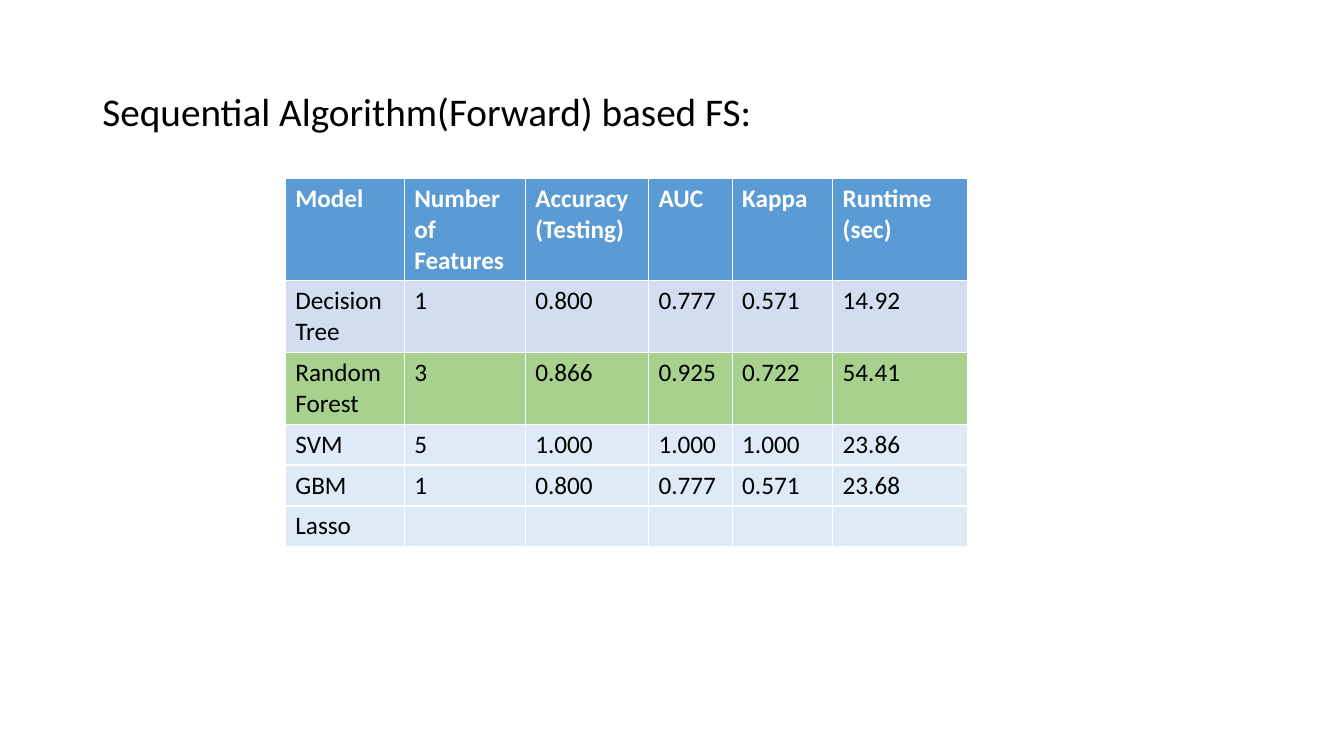
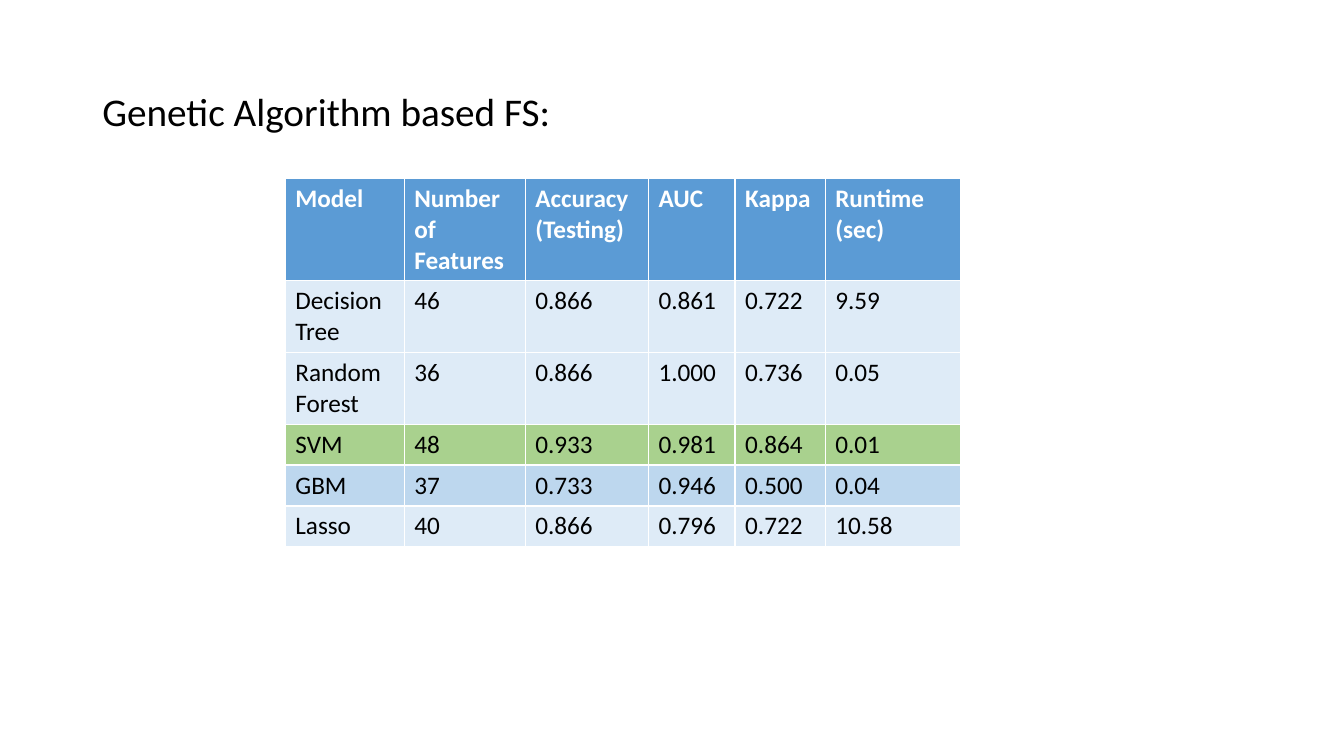
from pptx import Presentation
from pptx.dml.color import RGBColor
from pptx.enum.text import MSO_ANCHOR, PP_ALIGN
from pptx.util import Pt

COLORS = {
    "header": "5B9BD5",
    "band": "D2DEEF",
    "best": "A9D18E",
    "pale": "DEEBF7",
    "medium": "BDD7EE",
    "white": "FFFFFF",
    "black": "000000",
}
FONT = "Calibri"
TITLE_BOX = (66, 28.8, 828, 104.4)
TABLE_LEFT, TABLE_TOP = 203.8, 127.5
ROW_HEIGHTS = (72, 50.4, 50.4, 29.2, 29.2, 29.2)
HEADINGS = ("Model", "Number of Features", "Accuracy (Testing)",
            "AUC", "Kappa", "Runtime (sec)")

# Each result row ends its numbers with the name of its fill colour.
RESULTS = (
    ("Sequential Algorithm(Forward) based FS:",
     (85, 86.4, 88, 59.8, 71.8, 96.5),
     (("Decision Tree", "1", "0.800", "0.777", "0.571", "14.92", "band"),
      ("Random Forest", "3", "0.866", "0.925", "0.722", "54.41", "best"),
      ("SVM", "5", "1.000", "1.000", "1.000", "23.86", "pale"),
      ("GBM", "1", "0.800", "0.777", "0.571", "23.68", "pale"),
      ("Lasso", "", "", "", "", "", "pale"))),
    ("Genetic Algorithm based FS:",
     (85, 86.4, 88, 61.9, 64.4, 96.5),
     (("Decision Tree", "46", "0.866", "0.861", "0.722", "9.59", "pale"),
      ("Random Forest", "36", "0.866", "1.000", "0.736", "0.05", "pale"),
      ("SVM", "48", "0.933", "0.981", "0.864", "0.01", "best"),
      ("GBM", "37", "0.733", "0.946", "0.500", "0.04", "medium"),
      ("Lasso", "40", "0.866", "0.796", "0.722", "10.58", "pale"))),
)


def rgb(name):
    return RGBColor.from_string(COLORS[name])


def style_font(font, size, color, bold=False):
    font.name = FONT
    font.size = Pt(size)
    font.bold = bold
    font.color.rgb = rgb(color)


def place_layout_title(layout):
    """Set the title position that every slide inherits."""
    title = layout.placeholders[0]
    title.left, title.top, title.width, title.height = map(Pt, TITLE_BOX)


def add_title(page, text):
    frame = page.shapes.title.text_frame
    frame.text = text
    frame.vertical_anchor = MSO_ANCHOR.MIDDLE
    para = frame.paragraphs[0]
    para.alignment = PP_ALIGN.LEFT
    para.line_spacing = 0.9
    style_font(para.runs[0].font, 28, "black")


def fill_row(row, texts, fill, color, bold=False):
    for cell, text in zip(row.cells, texts):
        cell.fill.solid()
        cell.fill.fore_color.rgb = rgb(fill)
        para = cell.text_frame.paragraphs[0]
        para.text = text
        for span in para.runs:
            style_font(span.font, 18, color, bold)


def add_results_table(page, widths, results):
    """Add the results; the default table style draws the white borders."""
    table = page.shapes.add_table(
        len(ROW_HEIGHTS), len(HEADINGS), Pt(TABLE_LEFT), Pt(TABLE_TOP),
        Pt(sum(widths)), Pt(sum(ROW_HEIGHTS))).table
    for column, width in zip(table.columns, widths):
        column.width = Pt(width)
    for row, height in zip(table.rows, ROW_HEIGHTS):
        row.height = Pt(height)
    fill_row(table.rows[0], HEADINGS, "header", "white", bold=True)
    for number, (*texts, fill) in enumerate(results, start=1):
        fill_row(table.rows[number], texts, fill, "black")


def main():
    deck = Presentation()
    deck.slide_width, deck.slide_height = Pt(960), Pt(540)
    layout = deck.slide_layouts.get_by_name("Title Only")
    place_layout_title(layout)
    for title, widths, results in RESULTS:
        page = deck.slides.add_slide(layout)
        add_title(page, title)
        add_results_table(page, widths, results)
    deck.save("out.pptx")


if __name__ == "__main__":
    main()
